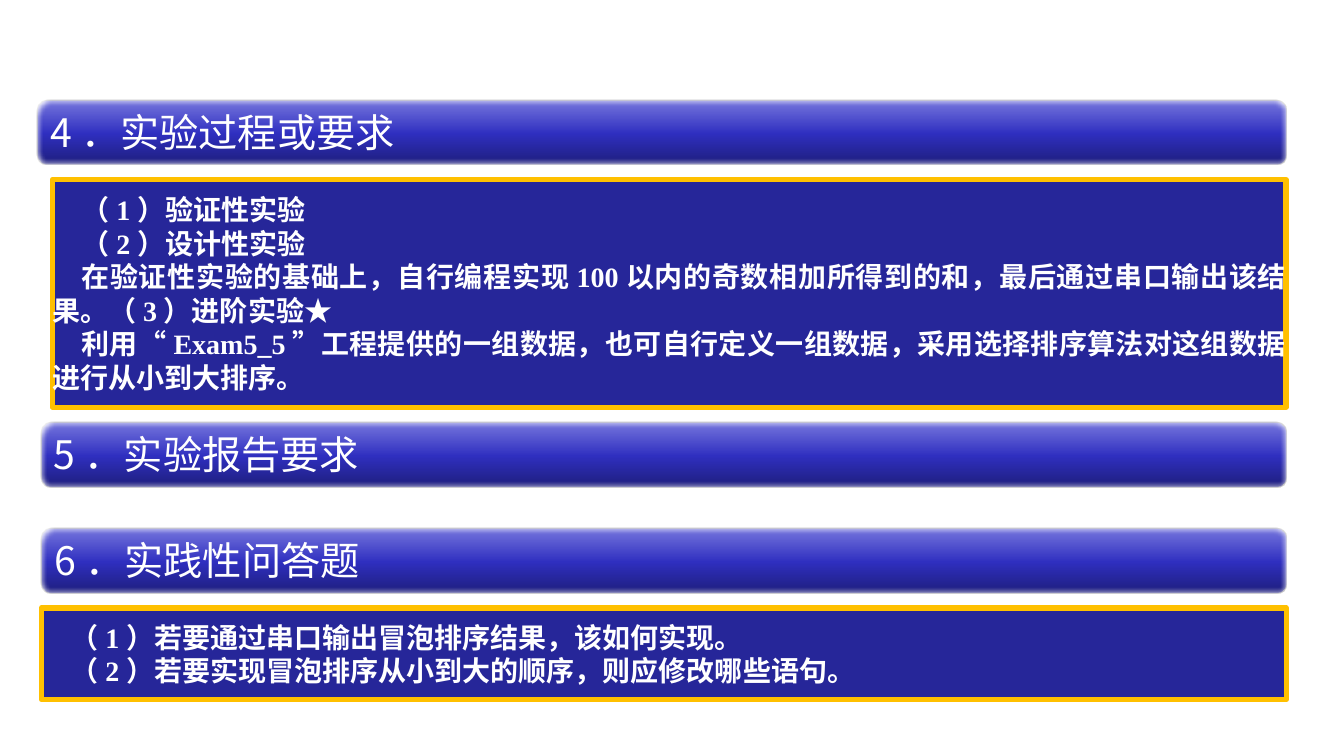
from copy import deepcopy
from dataclasses import dataclass

from lxml.etree import SubElement
from pptx import Presentation
from pptx.dml.color import RGBColor
from pptx.enum.lang import MSO_LANGUAGE_ID
from pptx.enum.shapes import MSO_SHAPE
from pptx.enum.text import MSO_ANCHOR, PP_ALIGN
from pptx.oxml.ns import qn
from pptx.util import Pt


@dataclass(frozen=True)
class Theme:
    white: str = "FFFFFF"
    panel: str = "262699"
    panel_border: str = "FFC000"
    bar_border: str = "808080"
    bar_stops: tuple = ((0, "1E1E7C"), (0.48, "2F2FC0"), (1, "7878DE"))
    heading_size: int = 28
    body_size: int = 20
    body_leading: int = 24
    heading_font: str = "Noto Sans CJK SC"
    body_font: str = "Times New Roman"


THEME = Theme()


def write(paragraph, text, size, font, bold=False):
    run = paragraph.add_run()
    run.text = text
    run.font.size = Pt(size)
    run.font.name = font
    run.font.bold = bold
    run.font.color.rgb = RGBColor.from_string(THEME.white)
    run.font.language_id = MSO_LANGUAGE_ID.SIMPLIFIED_CHINESE
    east_asian = SubElement(run.font._element, qn("a:ea"))
    east_asian.set("typeface", THEME.heading_font)


def add_block(kind, left, top, right, height, border, border_width):
    block = slide.shapes.add_shape(kind, Pt(left), Pt(top), Pt(right - left), Pt(height))
    block.shadow.inherit = False
    block.line.color.rgb = RGBColor.from_string(border)
    block.line.width = Pt(border_width)
    return block


prs = Presentation()
prs.slide_width, prs.slide_height = Pt(960), Pt(540)
slide = prs.slides.add_slide(prs.slide_layouts[6])

RIGHT = 918.7
BAR_HEIGHT = 46

headings = [
    (26.6, 71.3, "4．实验过程或要求"),
    (29, 301.7, "5．实验报告要求"),
    (29.5, 377.3, "6．实践性问答题"),
]
for left, top, heading in headings:
    bar = add_block(MSO_SHAPE.ROUNDED_RECTANGLE, left, top, RIGHT, BAR_HEIGHT, THEME.bar_border, 0.75)
    bar.fill.gradient()
    bar.fill.gradient_angle = 90
    stop_list = bar._element.spPr.find(qn("a:gradFill")).find(qn("a:gsLst"))
    stop_list.append(deepcopy(stop_list[0]))
    for stop, (position, color) in zip(bar.fill.gradient_stops, THEME.bar_stops):
        stop.position = position
        stop.color.rgb = RGBColor.from_string(color)
    effects = bar._element.spPr.find(qn("a:effectLst"))
    SubElement(effects, qn("a:softEdge")).set("rad", str(Pt(2.5)))

    frame = bar.text_frame
    frame.word_wrap = False
    frame.vertical_anchor = MSO_ANCHOR.TOP
    frame.paragraphs[0].alignment = PP_ALIGN.LEFT
    write(frame.paragraphs[0], heading, THEME.heading_size, THEME.heading_font)

panels = [
    (37.4, 128.2, 162.7, [
        "（1）验证性实验",
        "（2）设计性实验",
        "在验证性实验的基础上，自行编程实现100以内的奇数相加所得到的和，最后通过串口输出该结果。（3）进阶实验★",
        "利用“Exam5_5”工程提供的一组数据，也可自行定义一组数据，采用选择排序算法对这组数据进行从小到大排序。",
    ]),
    (29.5, 434.2, 65.5, [
        "（1）若要通过串口输出冒泡排序结果，该如何实现。",
        "（2）若要实现冒泡排序从小到大的顺序，则应修改哪些语句。",
    ]),
]
for left, top, height, lines in panels:
    panel = add_block(MSO_SHAPE.RECTANGLE, left, top, RIGHT, height, THEME.panel_border, 3.75)
    panel.fill.solid()
    panel.fill.fore_color.rgb = RGBColor.from_string(THEME.panel)

    frame = panel.text_frame
    frame.word_wrap = True
    frame.vertical_anchor = MSO_ANCHOR.MIDDLE
    frame.margin_left = frame.margin_right = 0
    frame.margin_top = frame.margin_bottom = Pt(8.6)
    for index, line in enumerate(lines):
        paragraph = frame.add_paragraph() if index else frame.paragraphs[0]
        paragraph.alignment = PP_ALIGN.JUSTIFY
        paragraph.line_spacing = Pt(THEME.body_leading)
        paragraph._p.get_or_add_pPr().set("indent", str(Pt(20.9)))
        write(paragraph, line, THEME.body_size, THEME.body_font, bold=True)

prs.save("out.pptx")
